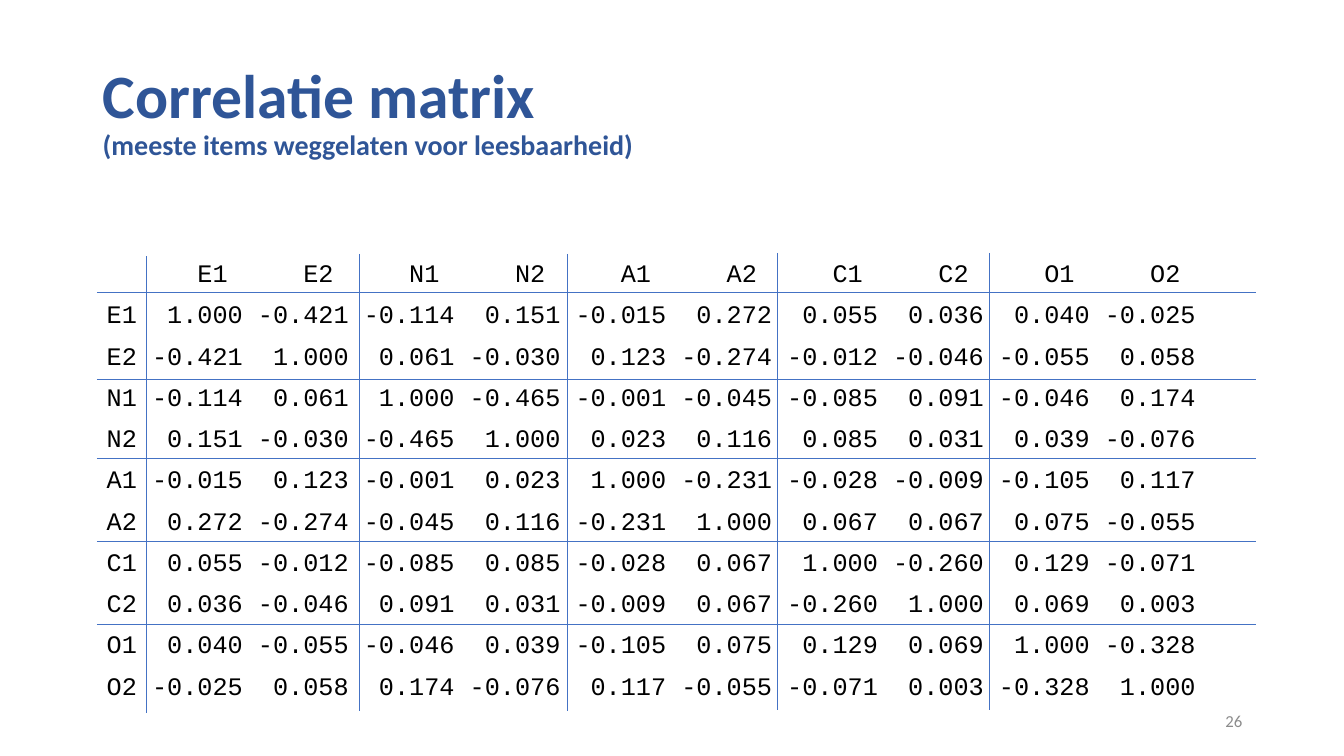
from lxml import etree
from pptx import Presentation
from pptx.dml.color import RGBColor
from pptx.enum.shapes import MSO_CONNECTOR
from pptx.enum.text import MSO_ANCHOR, PP_ALIGN
from pptx.oxml.ns import qn
from pptx.util import Inches, Pt

STRAIGHT = MSO_CONNECTOR.STRAIGHT
TOP, MIDDLE = MSO_ANCHOR.TOP, MSO_ANCHOR.MIDDLE
LEFT, RIGHT = PP_ALIGN.LEFT, PP_ALIGN.RIGHT
NAVY = RGBColor(0x2F, 0x55, 0x97)
BLUE = RGBColor(0x44, 0x72, 0xC4)
GRAY = RGBColor(0x8C, 0x8C, 0x8C)
BLACK = RGBColor(0, 0, 0)

TITLE = "Correlatie matrix"
SUBTITLE = "(meeste items weggelaten voor leesbaarheid)"
PAGE = "26"
ITEMS = ["E1", "E2", "N1", "N2", "A1", "A2", "C1", "C2", "O1", "O2"]
CORRELATIONS = [
    ["1.000", "-0.421", "-0.114", "0.151", "-0.015", "0.272", "0.055", "0.036", "0.040", "-0.025"],
    ["-0.421", "1.000", "0.061", "-0.030", "0.123", "-0.274", "-0.012", "-0.046", "-0.055", "0.058"],
    ["-0.114", "0.061", "1.000", "-0.465", "-0.001", "-0.045", "-0.085", "0.091", "-0.046", "0.174"],
    ["0.151", "-0.030", "-0.465", "1.000", "0.023", "0.116", "0.085", "0.031", "0.039", "-0.076"],
    ["-0.015", "0.123", "-0.001", "0.023", "1.000", "-0.231", "-0.028", "-0.009", "-0.105", "0.117"],
    ["0.272", "-0.274", "-0.045", "0.116", "-0.231", "1.000", "0.067", "0.067", "0.075", "-0.055"],
    ["0.055", "-0.012", "-0.085", "0.085", "-0.028", "0.067", "1.000", "-0.260", "0.129", "-0.071"],
    ["0.036", "-0.046", "0.091", "0.031", "-0.009", "0.067", "-0.260", "1.000", "0.069", "0.003"],
    ["0.040", "-0.055", "-0.046", "0.039", "-0.105", "0.075", "0.129", "0.069", "1.000", "-0.328"],
    ["-0.025", "0.058", "0.174", "-0.076", "0.117", "-0.055", "-0.071", "0.003", "-0.328", "1.000"],
]
ROW_RULES = [2.9, 3.76, 4.55, 5.37, 6.19]
COLUMN_RULES = [(1.45, 2.54), (3.56, 2.52), (5.63, 2.52), (7.71, 2.51), (9.81, 2.51)]
RULE_LEFT, RULE_WIDTH, RULE_HEIGHT = 0.96, 11.5, 4.53
HEADER_TAB, VALUE_TAB, COLUMN_STEP = 1.2, 1.35, 1.05

TITLE_FONT = {"name": "Calibri", "size": Pt(44), "bold": True}
SUBTITLE_FONT = {"name": "Calibri", "size": Pt(20), "bold": True}
MATRIX_FONT = {"name": "Courier New", "size": Pt(18)}
PAGE_FONT = {"name": "Calibri", "size": Pt(12)}


def add_box(s, box, anchor):
    tf = s.shapes.add_textbox(*map(Inches, box)).text_frame
    tf.word_wrap = True
    tf.vertical_anchor = anchor
    return tf


def add_run(p, text, fmt, color):
    r = p.add_run()
    r.text = text
    for key, value in fmt.items():
        setattr(r.font, key, value)
    r.font.color.rgb = color


def add_tabs(p, first):
    tabs = etree.SubElement(p._p.get_or_add_pPr(), qn("a:tabLst"))
    for i in range(len(ITEMS)):
        pos = Inches(first + i * COLUMN_STEP)
        etree.SubElement(tabs, qn("a:tab"), pos=str(pos), algn="r")


def add_rule(s, x1, y1, x2, y2):
    line = s.shapes.add_connector(STRAIGHT, *map(Inches, (x1, y1, x2, y2)))
    line.line.color.rgb = BLUE
    line.line.width = Pt(0.5)
    etree.SubElement(line._element.spPr, qn("a:effectLst"))


def main():
    prs = Presentation()
    prs.slide_width, prs.slide_height = Inches(13.33), Inches(7.5)
    s = prs.slides.add_slide(prs.slide_layouts[6])

    p = add_box(s, (0.92, 0.4, 11.5, 1.45), MIDDLE).paragraphs[0]
    p.line_spacing = 0.9
    add_run(p, TITLE, TITLE_FONT, NAVY)
    p.add_line_break()
    add_run(p, SUBTITLE, SUBTITLE_FONT, NAVY)

    tf = add_box(s, (0.96, 2.54, 11.5, 4.76), TOP)
    rows = [["", *ITEMS]] + [[item, *row] for item, row in zip(ITEMS, CORRELATIONS)]
    for i, row in enumerate(rows):
        p = tf.add_paragraph() if i else tf.paragraphs[0]
        add_tabs(p, VALUE_TAB if i else HEADER_TAB)
        p.alignment = LEFT
        p.line_spacing = 0.9
        p.space_before = Pt(10 if i else 0)
        add_run(p, "\t".join(row), MATRIX_FONT, BLACK)

    for y in ROW_RULES:
        add_rule(s, RULE_LEFT, y, RULE_LEFT + RULE_WIDTH, y)
    for x, y in COLUMN_RULES:
        add_rule(s, x, y, x, y + RULE_HEIGHT)

    p = add_box(s, (9.42, 6.95, 3, 0.4), MIDDLE).paragraphs[0]
    p.alignment = RIGHT
    add_run(p, PAGE, PAGE_FONT, GRAY)

    prs.save("out.pptx")


if __name__ == "__main__":
    main()
